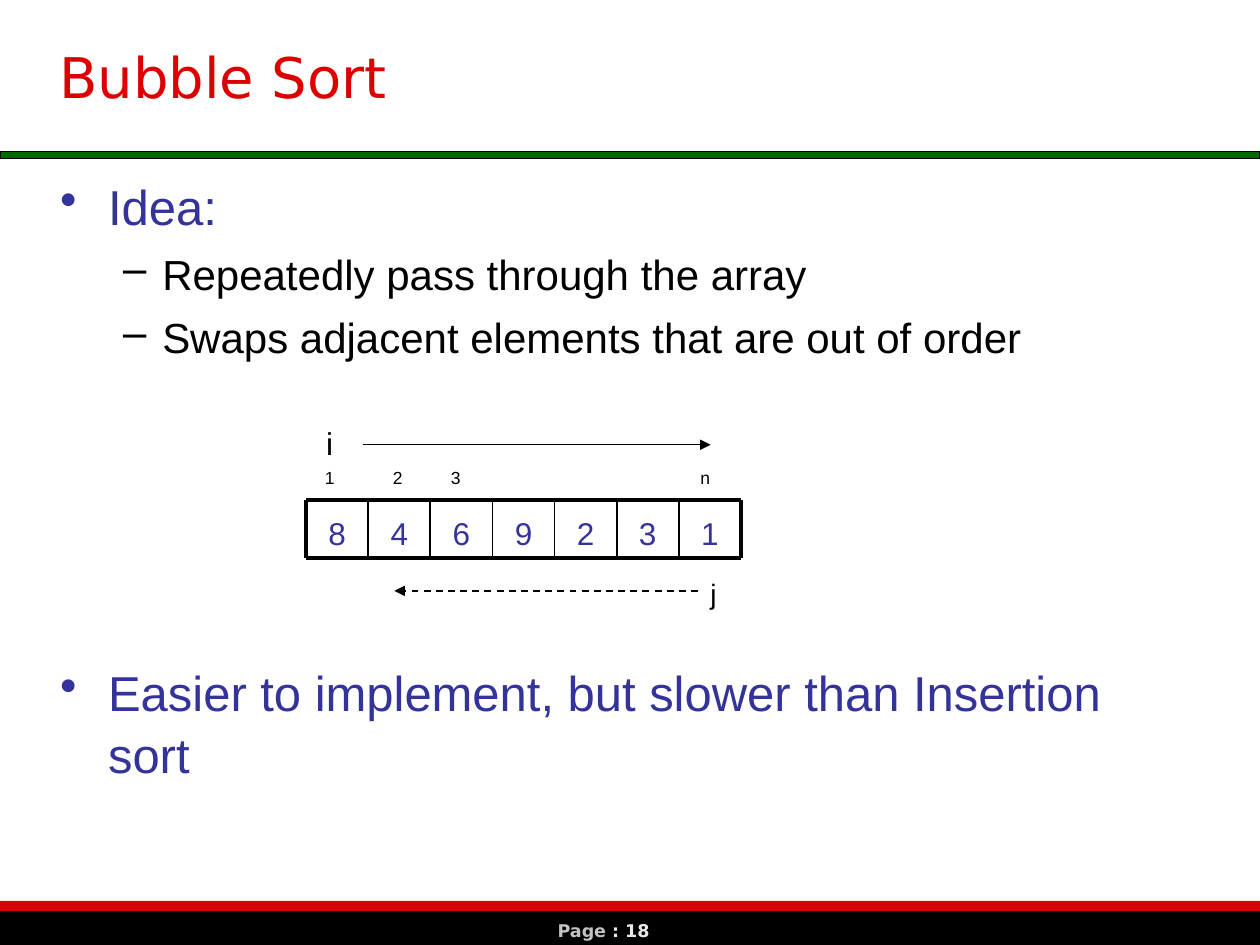
from lxml.etree import SubElement
from pptx import Presentation
from pptx.dml.color import RGBColor
from pptx.enum.dml import MSO_LINE
from pptx.enum.shapes import MSO_CONNECTOR, MSO_SHAPE
from pptx.enum.text import MSO_ANCHOR, MSO_AUTO_SIZE, PP_ALIGN
from pptx.oxml.ns import qn
from pptx.util import Inches, Pt

BLACK, RED, GREEN, BLUE = "000000", "DC0000", "006600", "333399"


def color(hex_string):
    return RGBColor.from_string(hex_string)


class SlideBuilder:
    heading_font = "DejaVu Sans"
    body_font = "Arial"

    def __init__(self, slide):
        self.slide = slide
        self.shapes = slide.shapes

    def style(self, font, size, hex_string=None, name=None, bold=False):
        font.name = name or self.body_font
        font.size = Pt(size)
        font.bold = bold
        if hex_string:
            font.color.rgb = color(hex_string)

    def title(self, text, left, top, width, height):
        title = self.shapes.title
        title.left, title.top = Inches(left), Inches(top)
        title.width, title.height = Inches(width), Inches(height)
        frame = title.text_frame
        frame.text = text
        frame.auto_size = MSO_AUTO_SIZE.NONE
        frame.vertical_anchor = MSO_ANCHOR.MIDDLE
        heading = frame.paragraphs[0]
        heading.alignment = PP_ALIGN.LEFT
        self.style(heading.font, 32, RED, self.heading_font)

    def bar(self, top, height, fill, outline=None):
        bar = self.shapes.add_shape(
            MSO_SHAPE.RECTANGLE, 0, Inches(top), Inches(10), Inches(height))
        bar.shadow.inherit = False
        bar.fill.solid()
        bar.fill.fore_color.rgb = color(fill)
        if outline:
            bar.line.color.rgb = color(outline)
            bar.line.width = Pt(0.75)
        else:
            bar.line.fill.background()

    def text_box(self, left, top, width, height, wrap=True):
        box = self.shapes.add_textbox(
            Inches(left), Inches(top), Inches(width), Inches(height))
        box.text_frame.word_wrap = wrap
        return box.text_frame

    def label(self, text, left, top, width, height, size, hex_string=BLACK,
              wrap=True, align=PP_ALIGN.LEFT, anchor=MSO_ANCHOR.TOP):
        frame = self.text_box(left, top, width, height, wrap)
        frame.text = text
        frame.vertical_anchor = anchor
        frame.paragraphs[0].alignment = align
        self.style(frame.paragraphs[0].font, size, hex_string)

    def page_number(self, left, top, width, height, parts):
        frame = self.text_box(left, top, width, height)
        paragraph = frame.paragraphs[0]
        paragraph.alignment = PP_ALIGN.CENTER
        for text, hex_string in parts:
            run = paragraph.add_run()
            run.text = text
            run.font.color.rgb = color(hex_string)
        self.style(paragraph.font, 10, name=self.heading_font, bold=True)

    def bullets(self, left, top, width, height, items):
        # Per level: bullet, text indent, hanging indent, size, colour
        levels = [("•", 0.38, -0.38, 28, BLUE), ("–", 0.81, -0.31, 24, BLACK)]
        frame = self.text_box(left, top, width, height)
        for index, (level, text, space_before) in enumerate(items):
            paragraph = frame.add_paragraph() if index else frame.paragraphs[0]
            paragraph.text = text
            paragraph.level = level
            paragraph.line_spacing = 1.05
            paragraph.space_before = Pt(space_before)
            bullet, margin, indent, size, hex_string = levels[level]
            properties = paragraph._p.get_or_add_pPr()
            properties.set("marL", str(Inches(margin)))
            properties.set("indent", str(Inches(indent)))
            SubElement(properties, qn("a:buChar"), char=bullet)
            self.style(paragraph.font, size, hex_string)

    def line(self, start, end, width, arrow=False, dash=None):
        line = self.shapes.add_connector(
            MSO_CONNECTOR.STRAIGHT, *map(Inches, (*start, *end)))
        line.line.color.rgb = color(BLACK)
        line.line.width = Pt(width)
        if dash:
            line.line.dash_style = dash
        if arrow:
            SubElement(line.line._get_or_add_ln(), qn("a:tailEnd"), type="triangle")
        SubElement(line._element.spPr, qn("a:effectLst"))

    def array(self, values, left, top, width, height):
        cell = width / len(values)
        right, bottom = left + width, top + height
        for index, value in enumerate(values):
            self.label(value, left + index * cell, top, cell, height, 18, BLUE,
                       align=PP_ALIGN.CENTER, anchor=MSO_ANCHOR.BOTTOM)
        for y in (top, bottom):
            self.line((left, y), (right, y), 2.25)
        for index in range(len(values) + 1):
            x = left + index * cell
            self.line((x, top), (x, bottom), 2.25 if index in (0, len(values)) else 1)


def main():
    presentation = Presentation()
    presentation.slide_width, presentation.slide_height = Inches(10), Inches(7.5)
    builder = SlideBuilder(
        presentation.slides.add_slide(presentation.slide_layouts[5]))

    # Footer and title rule
    builder.bar(7.21, 0.33, BLACK)
    builder.bar(7.15, 0.08, RED)
    builder.page_number(3.75, 7.25, 2.08, 0.5,
                        [("Page", "C3C3C3"), (" : 18", "EAEAEA")])
    builder.bar(1.2, 0.06, GREEN, BLACK)

    # Title and bullets, with room for the array before the last one
    builder.title("Bubble Sort", 0.37, 0.11, 9, 0.99)
    builder.bullets(0.38, 1.33, 9, 5.55, [
        (0, "Idea:", 0),
        (1, "Repeatedly pass through the array", 6),
        (1, "Swaps adjacent elements that are out of order", 6),
        (0, "Easier to implement, but slower than Insertion sort", 170),
    ])

    # Array with its positions
    for position, left in (("1", 2.48), ("2", 3.02), ("3", 3.48), ("n", 5.46)):
        builder.label(position, left, 3.66, 0.25, 0.27, 10)
    builder.array("8469231", 2.43, 3.97, 3.45, 0.46)

    # Directions of the two loop counters
    builder.label("i", 2.49, 3.32, 0.25, 0.4, 18, wrap=False)
    builder.line((2.88, 3.53), (5.64, 3.53), 0.75, arrow=True)
    builder.label("j", 5.54, 4.53, 0.25, 0.37, 16, wrap=False)
    builder.line((5.54, 4.69), (3.13, 4.69), 1, arrow=True, dash=MSO_LINE.DASH)

    presentation.save("out.pptx")


if __name__ == "__main__":
    main()
